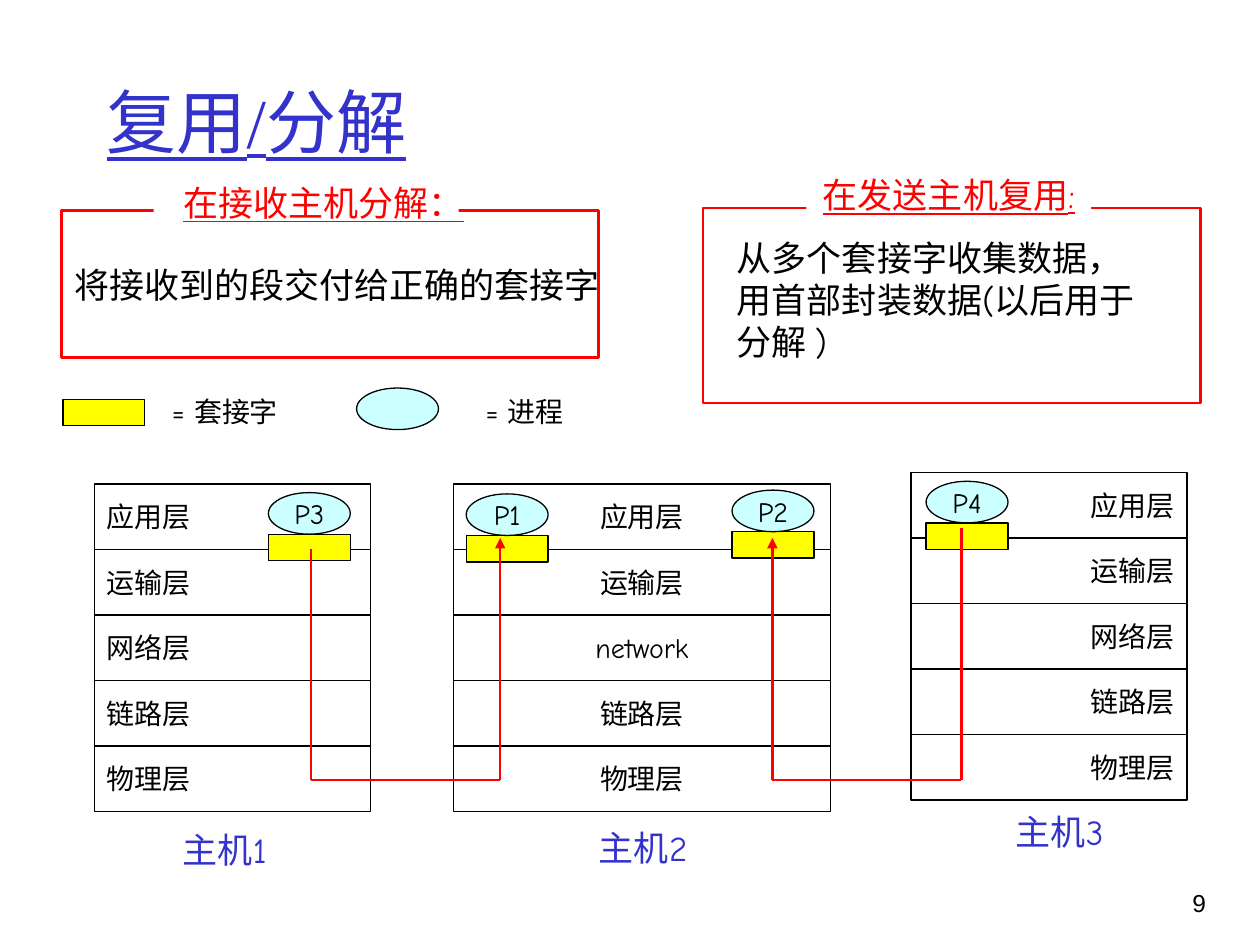
from dataclasses import dataclass

from lxml import etree
from pptx import Presentation
from pptx.dml.color import RGBColor
from pptx.enum.shapes import MSO_CONNECTOR, MSO_SHAPE
from pptx.enum.text import MSO_ANCHOR, MSO_AUTO_SIZE, PP_ALIGN
from pptx.oxml.ns import qn
from pptx.util import Inches, Pt

RECT, OVAL = MSO_SHAPE.RECTANGLE, MSO_SHAPE.OVAL
STRAIGHT = MSO_CONNECTOR.STRAIGHT
LEFT, CENTER, RIGHT = PP_ALIGN.LEFT, PP_ALIGN.CENTER, PP_ALIGN.RIGHT
TOP, MIDDLE = MSO_ANCHOR.TOP, MSO_ANCHOR.MIDDLE
GROW = MSO_AUTO_SIZE.SHAPE_TO_FIT_TEXT


@dataclass(frozen=True)
class Theme:
    black: str = "000000"
    white: str = "FFFFFF"
    blue: str = "3333CC"
    red: str = "FF0000"
    yellow: str = "FFFF00"
    cyan: str = "CCFFFF"
    body_font: str = "Comic Neue"
    title_font: str = "Times New Roman"
    number_font: str = "Arial"
    title: int = 40
    heading: int = 20
    label: int = 16
    number: int = 14
    thin: float = 0.75
    thick: float = 1.5


THEME = Theme()
LAYER_H = 0.52
MARK_W, SOCKET_H, PROCESS_H = 0.65, 0.21, 0.33
WIRE_Y = 6.19
LAYERS = ["应用层", "运输层", "网络层", "链路层", "物理层"]
MIDDLE_LAYERS = ["应用层", "运输层", "network", "链路层", "物理层"]

# left, top, width, alignment, layer names
HOSTS = [
    (0.75, 3.84, 2.19, LEFT, LAYERS),
    (7.23, 3.75, 2.19, RIGHT, LAYERS),
    (3.6, 3.84, 2.99, CENTER, MIDDLE_LAYERS),
]
# name, left, top of the process
PROCESSES = [("P1", 3.7, 3.92), ("P2", 5.81, 3.89),
             ("P3", 2.13, 3.91), ("P4", 7.35, 3.82)]
HOST_NAMES = [("主机1", 1.32, 6.53, 0.93), ("主机2", 4.62, 6.51, 0.97),
              ("主机3", 7.93, 6.38, 0.96)]
# sender x, sender y, receiver x, receiver y
ROUTES = [(2.47, 4.36, 3.97, 4.27), (7.63, 4.19, 6.13, 4.27)]


def rgb(color):
    return RGBColor.from_string(color)


def write(sp, text, size=THEME.label, color=THEME.black, font=THEME.body_font,
          align=CENTER, anchor=MIDDLE, wrap=False, underline=False, grow=False):
    tf = sp.text_frame
    tf.word_wrap = wrap
    tf.vertical_anchor = anchor
    if grow:
        tf.auto_size = GROW
    p = tf.paragraphs[0]
    p.alignment = align
    r = p.add_run()
    r.text = text
    r.font.size = Pt(size)
    r.font.name = font
    r.font.color.rgb = rgb(color)
    if underline:
        r.font.underline = True


class Canvas:
    def __init__(self, slide, theme):
        self.slide = slide
        self.theme = theme

    def text(self, text, left, top, width, height, **style):
        sp = self.slide.shapes.add_textbox(
            Inches(left), Inches(top), Inches(width), Inches(height))
        write(sp, text, **style)
        return sp

    def shape(self, kind, left, top, width, height, fill=None,
              line=THEME.black, weight=THEME.thin):
        sp = self.slide.shapes.add_shape(
            kind, Inches(left), Inches(top), Inches(width), Inches(height))
        sp.shadow.inherit = False
        if fill:
            sp.fill.solid()
            sp.fill.fore_color.rgb = rgb(fill)
        else:
            sp.fill.background()
        sp.line.color.rgb = rgb(line)
        sp.line.width = Pt(weight)
        return sp

    def line(self, x1, y1, x2, y2, arrow=False):
        cxn = self.slide.shapes.add_connector(
            STRAIGHT, Inches(x1), Inches(y1), Inches(x2), Inches(y2))
        cxn.line.color.rgb = rgb(self.theme.red)
        cxn.line.width = Pt(self.theme.thick)
        sp_pr = cxn._element.spPr
        if arrow:
            etree.SubElement(sp_pr.find(qn("a:ln")), qn("a:tailEnd"), type="triangle")
        etree.SubElement(sp_pr, qn("a:effectLst"))

    def socket(self, left, top):
        self.shape(RECT, left, top, MARK_W, SOCKET_H, fill=self.theme.yellow)

    def process(self, left, top):
        return self.shape(OVAL, left, top, MARK_W, PROCESS_H, fill=self.theme.cyan)

    def host(self, left, top, width, align, layers):
        for i, name in enumerate(layers):
            sp = self.shape(RECT, left, top + i * LAYER_H, width, LAYER_H,
                            fill=self.theme.white)
            write(sp, name, align=align)

    def frame(self, left, top, width, height):
        return self.shape(RECT, left, top, width, height,
                          line=self.theme.red, weight=self.theme.thick)

    def frame_heading(self, text, left, top, width):
        """White label that interrupts the top edge of a frame."""
        sp = self.text(text, left, top, width, 0.44, size=self.theme.heading,
                       color=self.theme.red, underline=True, anchor=TOP, grow=True)
        sp.fill.solid()
        sp.fill.fore_color.rgb = rgb(self.theme.white)

    def route(self, x1, y1, x2, y2):
        """Path from a sending socket down, across and up to a receiving one."""
        self.line(x1, y1, x1, WIRE_Y)
        self.line(x1, WIRE_Y, x2, WIRE_Y)
        self.line(x2, WIRE_Y, x2, y2, arrow=True)


def main():
    prs = Presentation()
    prs.slide_width, prs.slide_height = Inches(10), Inches(7.5)
    s = prs.slides.add_slide(prs.slide_layouts[6])
    c = Canvas(s, THEME)

    c.text("复用/分解", 0.75, 0.33, 8.5, 1.25, size=THEME.title, color=THEME.blue,
           font=THEME.title_font, align=LEFT, wrap=True, underline=True)

    for host in HOSTS:
        c.host(*host)
    for name, left, top in PROCESSES:
        c.socket(left, top + PROCESS_H)
        write(c.process(left, top), name)
    for name, left, top, width in HOST_NAMES:
        c.text(name, left, top, width, 0.44, size=THEME.heading,
               color=THEME.blue, anchor=TOP, grow=True)
    for route in ROUTES:
        c.route(*route)

    c.socket(0.5, 3.17)
    c.text("= 套接字", 1.24, 3.08, 1.09, 0.37, anchor=TOP, grow=True)
    c.process(2.83, 3.08)
    c.text("= 进程", 3.73, 3.08, 0.87, 0.37, anchor=TOP, grow=True)

    write(c.frame(0.49, 1.67, 4.26, 1.17), "将接收到的段交付给正确的套接字",
          size=THEME.heading, align=LEFT)
    c.frame_heading("在接收主机分解：", 1.22, 1.39, 2.42)

    c.text("从多个套接字收集数据，用首部封装数据(以后用于分解 )", 5.75, 1.83, 3.5, 1.1,
           size=THEME.heading, align=LEFT, anchor=TOP, wrap=True, grow=True)
    c.frame(5.58, 1.65, 3.95, 1.55)
    c.frame_heading("在发送主机复用:", 6.4, 1.33, 2.26)

    c.text("9", 8.93, 7, 0.74, 0.5, size=THEME.number, font=THEME.number_font,
           align=RIGHT, anchor=TOP, wrap=True)

    prs.save("out.pptx")


if __name__ == "__main__":
    main()
